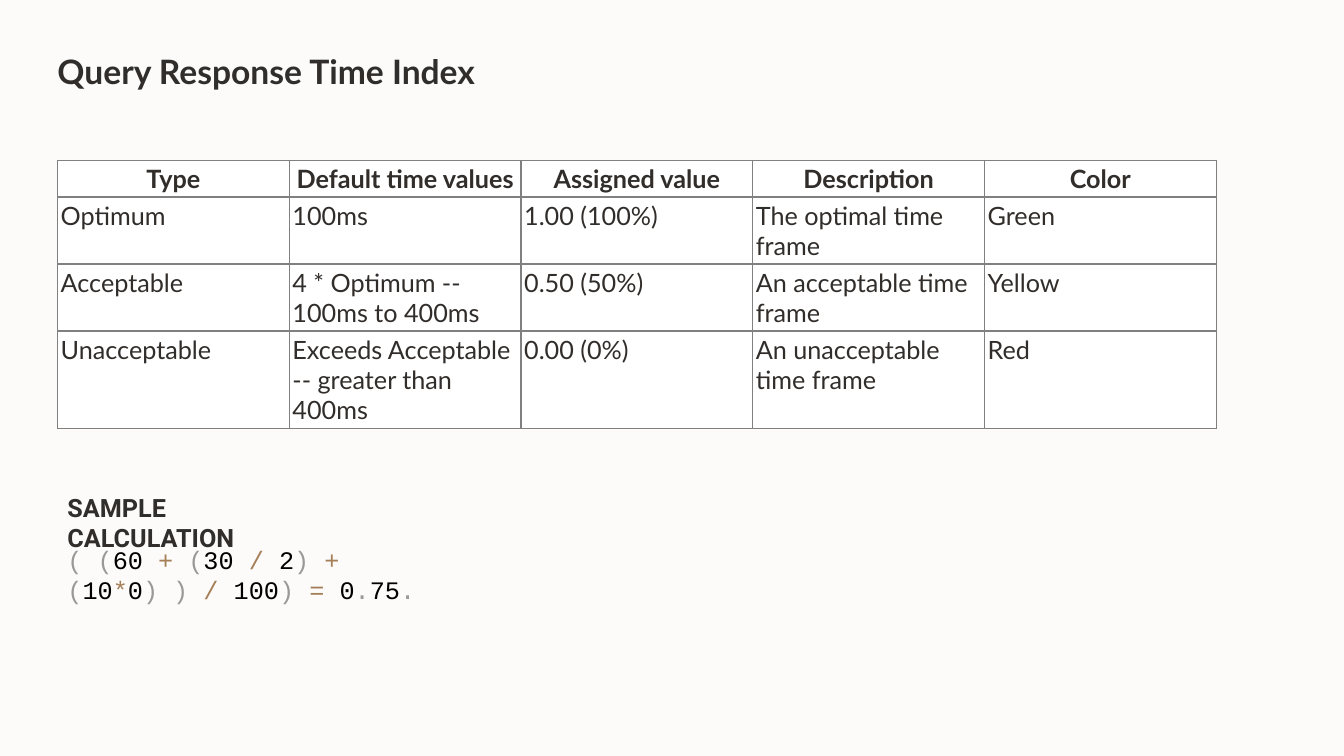
"""Build the slide explaining the query response time index."""
from dataclasses import dataclass

from lxml.etree import SubElement
from pptx import Presentation
from pptx.dml.color import RGBColor
from pptx.enum.text import MSO_ANCHOR, MSO_AUTO_SIZE, PP_ALIGN
from pptx.oxml.ns import qn
from pptx.slide import Slide
from pptx.table import _Cell
from pptx.text.text import Font, TextFrame
from pptx.util import Cm, Pt

BACKGROUND = RGBColor(0xFC, 0xFB, 0xFA)
INK = RGBColor(0x31, 0x2D, 0x2A)
WHITE = RGBColor(0xFF, 0xFF, 0xFF)
BLACK = RGBColor(0x00, 0x00, 0x00)
GRID = RGBColor(0x80, 0x80, 0x80)
BRACKET = RGBColor(0x99, 0x99, 0x99)
OPERATOR = RGBColor(0xA6, 0x7F, 0x59)

LEFT = Cm(1.45)
CONTENT_WIDTH = Cm(29.2)
CELL_MARGIN = Cm(0.08)
ROW_HEIGHTS = (0.9, 1.69, 1.69, 2.44)
RESPONSE_TYPES = (
    ("Type", "Default time values", "Assigned value", "Description", "Color"),
    ("Optimum", "100ms", "1.00 (100%)", "The optimal time frame", "Green"),
    ("Acceptable", "4 * Optimum -- 100ms to 400ms", "0.50 (50%)",
     "An acceptable time frame", "Yellow"),
    ("Unacceptable", "Exceeds Acceptable -- greater than 400ms", "0.00 (0%)",
     "An unacceptable time frame", "Red"),
)


@dataclass(frozen=True)
class Token:
    text: str
    color: RGBColor


@dataclass(frozen=True)
class Caption:
    tokens: tuple[Token, ...]
    top: float
    width: float
    right_margin: float
    font: str
    bold: bool


FORMULA = (
    Token("( (", BRACKET), Token("60 ", BLACK), Token("+ ", OPERATOR),
    Token("(", BRACKET), Token("30 ", BLACK), Token("/", OPERATOR),
    Token(" 2", BLACK), Token(") ", BRACKET), Token("+ ", OPERATOR),
    Token("(", BRACKET), Token("10", BLACK), Token("*", OPERATOR),
    Token("0", BLACK), Token(") ) ", BRACKET), Token("/", OPERATOR),
    Token(" 100", BLACK), Token(") ", BRACKET), Token("=", OPERATOR),
    Token(" 0", BLACK), Token(".", BRACKET), Token("75", BLACK),
    Token(".", BRACKET),
)
CAPTIONS = (
    Caption(FORMULA, 13.59, 10.49, 1.1, "Courier New", False),
    Caption((Token("SAMPLE CALCULATION", INK),), 12.27, 7.34, 0.6, "Roboto", True),
)


def style_font(font: Font, name: str, size: int, color: RGBColor, bold: bool) -> None:
    """Apply a typeface, size, colour and weight."""
    font.name = name
    font.size = Pt(size)
    font.color.rgb = color
    font.bold = bold


def add_title(slide: Slide) -> None:
    """Place the slide heading."""
    frame: TextFrame = slide.shapes.add_textbox(
        LEFT, Cm(1.04), CONTENT_WIDTH, Cm(2.26)).text_frame
    frame.word_wrap = True
    frame.vertical_anchor = MSO_ANCHOR.BOTTOM
    frame.margin_left = frame.margin_right = frame.margin_top = 0
    frame.margin_bottom = Cm(0.97)
    frame.text = "Query Response Time Index"
    heading = frame.paragraphs[0]
    heading.line_spacing = 0.95
    style_font(heading.runs[0].font, "Lato", 24, INK, True)


def add_borders(cell: _Cell) -> None:
    """Outline a cell on all four sides, ahead of its fill."""
    properties = cell._tc.get_or_add_tcPr()
    for position, side in enumerate(("lnL", "lnR", "lnT", "lnB")):
        border = SubElement(properties, qn(f"a:{side}"), w=str(Pt(1)))
        SubElement(SubElement(border, qn("a:solidFill")), qn("a:srgbClr"), val=str(GRID))
        properties.insert(position, border)


def fill_cell(cell: _Cell, text: str, is_header: bool) -> None:
    """Write and style one table cell."""
    cell.fill.solid()
    cell.fill.fore_color.rgb = WHITE
    cell.margin_left = cell.margin_right = CELL_MARGIN
    cell.margin_top = cell.margin_bottom = CELL_MARGIN
    add_borders(cell)
    cell.text_frame.text = text
    content = cell.text_frame.paragraphs[0]
    content.alignment = PP_ALIGN.CENTER if is_header else PP_ALIGN.LEFT
    style_font(content.runs[0].font, "Lato", 18, INK, is_header)


def add_response_types(slide: Slide) -> None:
    """Draw the table of response types."""
    table = slide.shapes.add_table(
        len(RESPONSE_TYPES), len(RESPONSE_TYPES[0]), LEFT, Cm(4.04),
        CONTENT_WIDTH, Cm(sum(ROW_HEIGHTS))).table
    table.first_row = table.horz_banding = False
    for row_index, (entries, height) in enumerate(zip(RESPONSE_TYPES, ROW_HEIGHTS)):
        table.rows[row_index].height = Cm(height)
        for column_index, entry in enumerate(entries):
            fill_cell(table.cell(row_index, column_index), entry, row_index == 0)


def add_caption(slide: Slide, caption: Caption) -> None:
    """Place a text line made of coloured tokens."""
    frame = slide.shapes.add_textbox(
        LEFT, Cm(caption.top), Cm(caption.width), Cm(1.02)).text_frame
    frame.word_wrap = True
    frame.auto_size = MSO_AUTO_SIZE.SHAPE_TO_FIT_TEXT
    frame.margin_right = Cm(caption.right_margin)
    for token in caption.tokens:
        run = frame.paragraphs[0].add_run()
        run.text = token.text
        style_font(run.font, caption.font, 18, token.color, caption.bold)


def main() -> None:
    """Assemble and save the presentation."""
    presentation = Presentation()
    presentation.slide_width = Cm(33.87)
    presentation.slide_height = Cm(19.05)
    slide = presentation.slides.add_slide(presentation.slide_layouts[6])
    slide.background.fill.solid()
    slide.background.fill.fore_color.rgb = BACKGROUND
    add_title(slide)
    add_response_types(slide)
    for caption in CAPTIONS:
        add_caption(slide, caption)
    presentation.save("out.pptx")


if __name__ == "__main__":
    main()
